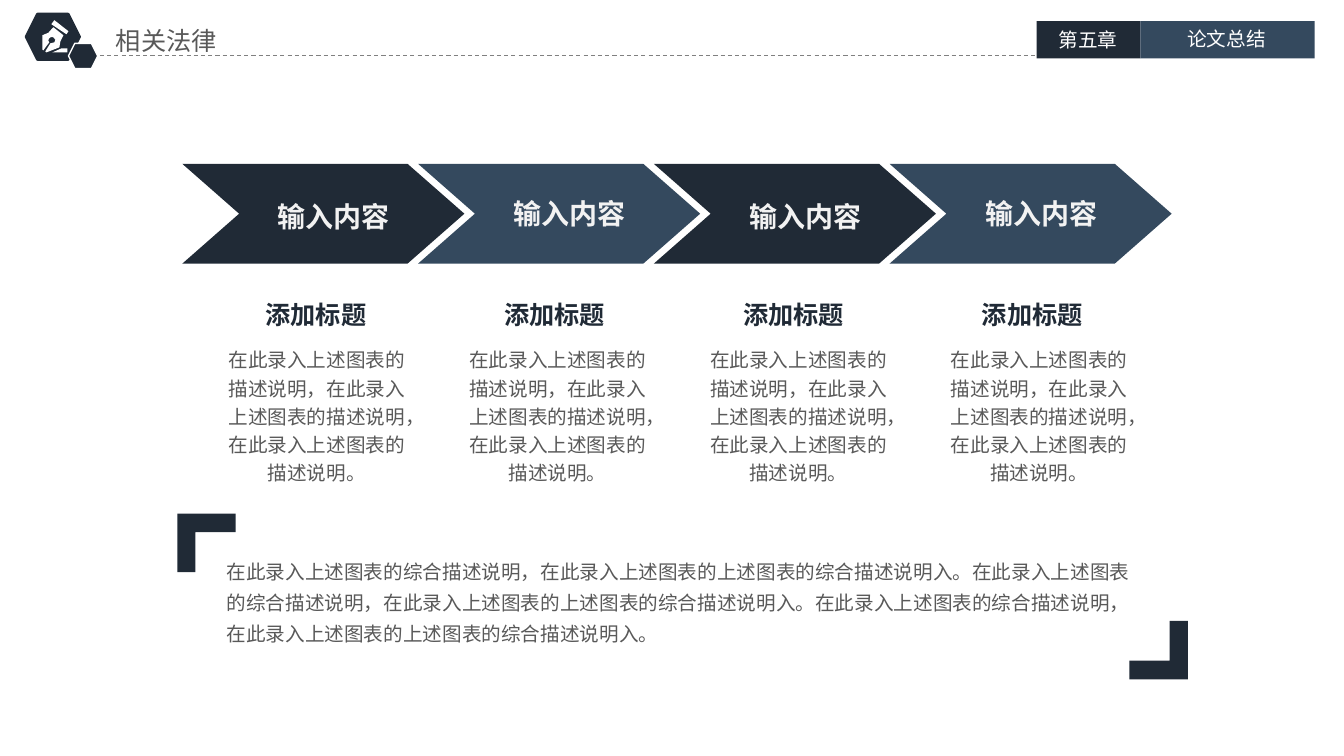
from lxml import etree
from pptx import Presentation
from pptx.dml.color import RGBColor
from pptx.enum.dml import MSO_LINE
from pptx.enum.shapes import MSO_CONNECTOR, MSO_SHAPE
from pptx.enum.text import MSO_ANCHOR, PP_ALIGN
from pptx.oxml.ns import qn
from pptx.util import Inches, Pt

HEXAGON, RECT, CHEVRON = MSO_SHAPE.HEXAGON, MSO_SHAPE.RECTANGLE, MSO_SHAPE.CHEVRON
LEFT, CENTER = PP_ALIGN.LEFT, PP_ALIGN.CENTER
TOP, MIDDLE = MSO_ANCHOR.TOP, MSO_ANCHOR.MIDDLE
NAVY = RGBColor(0x20, 0x2A, 0x36)
SLATE = RGBColor(0x34, 0x49, 0x5E)
GRAY = RGBColor(0x59, 0x59, 0x59)
RULE = RGBColor(0x80, 0x80, 0x80)
PALE = RGBColor(0xF2, 0xF2, 0xF2)
WHITE = RGBColor(0xFF, 0xFF, 0xFF)
CJK = "Noto Sans CJK SC"
CELL = Inches(0.1)

prs = Presentation()
prs.slide_width, prs.slide_height = Inches(13.34), Inches(7.5)
s = prs.slides.add_slide(prs.slide_layouts[6])


def grid(*cells):
    return [round(c * CELL) for c in cells]


def add_text(box, text, size, color, align=CENTER, spacing=1.0, font=CJK,
             bold=False, anchor=TOP, inset=(1, 0.5), wrap=True):
    tf = s.shapes.add_textbox(*grid(*box)).text_frame
    tf.word_wrap = wrap
    tf.vertical_anchor = anchor
    tf.margin_left = tf.margin_right = grid(inset[0])[0]
    tf.margin_top = tf.margin_bottom = grid(inset[1])[0]
    p = tf.paragraphs[0]
    p.alignment, p.line_spacing = align, spacing
    r = p.add_run()
    r.text = text
    r.font.size, r.font.bold, r.font.name = Pt(size), bold, font
    r.font.color.rgb = color
    etree.SubElement(r.font._element, qn("a:ea")).set("typeface", font)


rule = s.shapes.add_connector(MSO_CONNECTOR.STRAIGHT, *grid(9.2, 5.5, 102.9, 5.5))
rule.line.color.rgb, rule.line.width = RULE, Pt(0.75)
rule.line.dash_style = MSO_LINE.DASH
etree.SubElement(rule._element.spPr, qn("a:effectLst"))

presets = [
    (HEXAGON, (2.6, 1.4, 5.3, 4.5), NAVY, NAVY, 2),
    (HEXAGON, (6.8, 4.3, 2.9, 2.5), NAVY, WHITE, 1),
    (RECT, (102.9, 2.1, 10.3, 3.7), NAVY, None, 0),
    (RECT, (113.2, 2.1, 17.3, 3.7), SLATE, None, 0),
]
for i in range(4):
    presets.append((CHEVRON, (18.1 + 23.4 * i, 16.25, 28, 9.9), (NAVY, SLATE)[i % 2], None, 0))
for preset, box, fill, edge, width in presets:
    sp = s.shapes.add_shape(preset, *grid(*box))
    sp.shadow.inherit = False
    sp.fill.solid()
    sp.fill.fore_color.rgb = fill
    if edge is None:
        sp.line.fill.background()
    else:
        sp.line.color.rgb, sp.line.width = edge, Pt(width)
    if preset == CHEVRON:
        sp.adjustments[0] = 0.57

nib = [(4.3, 5), (4.2, 4.9), (4.2, 3.5), (4.8, 3.25), (5.3, 2.7), (6.3, 3.5), (6, 4.1),
       (5.9, 4.7), (4.6, 5.2), (4.5, 5.1), (5, 4.3), (5.4, 4.2), (5.5, 3.95), (5.3, 3.7),
       (5.05, 3.67), (4.85, 3.85), (4.8, 4.05), (4.9, 4.2)]
stroke = [(5.2, 5.2), (6.7, 5.2), (6.7, 4.8), (6.1, 4.8)]
cap = [(6.6, 3.4), (6.8, 3.1), (5.4, 2), (5.1, 2.4)]
corner = [(0, 0), (5.8, 0), (5.8, 1.85), (1.8, 1.85), (1.8, 5.8), (0, 5.8)]
top_left = [(17.6 + x, 50.95 + y) for x, y in corner]
bottom_right = [(117.9 - x, 67.4 - y) for x, y in corner]
outlines = [((nib, stroke, cap), WHITE), ((top_left,), NAVY), ((bottom_right,), NAVY)]
for contours, fill in outlines:
    pen = s.shapes.build_freeform(*grid(*contours[0][0]))
    for points in contours:
        pen.move_to(*grid(*points[0]))
        pen.add_line_segments([grid(*pt) for pt in points[1:]], close=True)
    sp = pen.convert_to_shape()
    sp.shadow.inherit = False
    sp.fill.solid()
    sp.fill.fore_color.rgb = fill
    sp.line.fill.background()

add_text((10.8, 2.1, 20.5, 3.8), "相关法律", 18, GRAY, LEFT, inset=(0.7, 0.4))
add_text((102.9, 2.4, 10.2, 3.1), "第五章", 14, WHITE, inset=(0.7, 0.4))
add_text((113.1, 2.3, 17.3, 3.1), "论文总结", 14, WHITE, inset=(0.7, 0.4))

detail = "在此录入上述图表的描述说明，" * 2 + "在此录入上述图表的描述说明。"
for i in range(4):
    add_text((21.3 + 23.4 * i, 18.9, 23.7, 4.5), "输入内容", 20, PALE,
             spacing=(1.2, 1.0)[i % 2], font="Arial", bold=True, anchor=MIDDLE)
    add_text((25.3 + 23.7 * i, 29.2, 12.1, 4), "添加标题", 18, NAVY, bold=True, wrap=False)
    add_text((21.2 + 23.9 * i, 33.6, 20.5, 15.1), detail, 14, GRAY, spacing=1.2)

summary = "在此录入上述图表的综合描述说明，在此录入上述图表的上述图表的综合描述说明入。" * 3
add_text((21.5, 54.4, 93.5, 9.9), summary, 14, GRAY, LEFT, 1.3)

prs.save("out.pptx")
